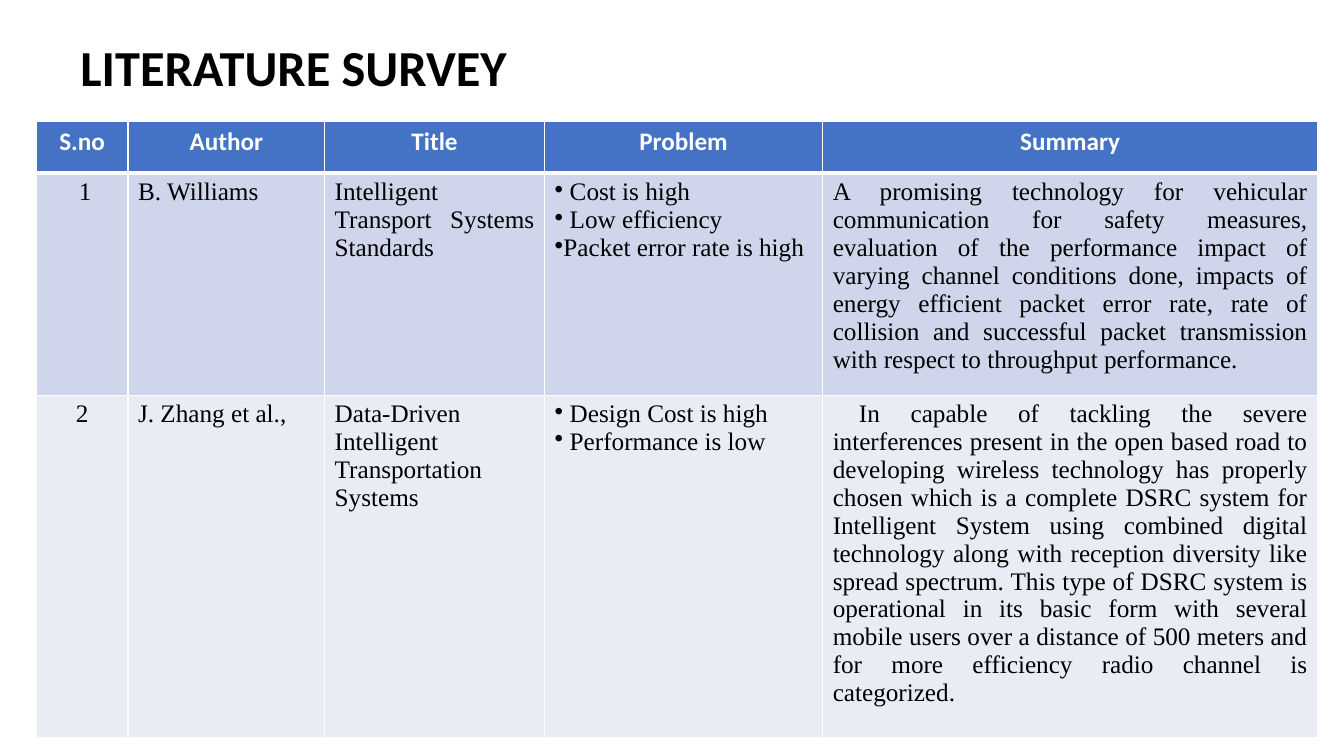
"""Build a literature survey slide with a table of two papers."""
from dataclasses import dataclass
from lxml.etree import SubElement as Sub
from pptx import Presentation
from pptx.dml.color import RGBColor as Rgb
from pptx.enum.text import MSO_ANCHOR as Anchor, PP_ALIGN as Align
from pptx.oxml import parse_xml
from pptx.oxml.ns import nsdecls, qn
from pptx.util import Inches, Pt

TITLE = "LITERATURE SURVEY"
HEADS = ["S.no", "Author", "Title", "Problem", "Summary"]
PAPERS = [
    [" 1", "B. Williams", "Intelligent Transport Systems Standards",
     [" Cost is high", " Low efficiency", "Packet error rate is high"],
     "A promising technology for vehicular communication for safety "
     "measures, evaluation of the performance impact of varying channel "
     "conditions done, impacts of energy efficient packet error rate, rate "
     "of collision and successful packet transmission with respect to "
     "throughput performance."],
    ["2", "J. Zhang et al.,",
     "Data-Driven Intelligent Transportation Systems",
     [" Design Cost is high", " Performance is low"],
     "In capable of tackling the severe interferences present in the open "
     "based road to developing wireless technology has properly chosen which "
     "is a complete DSRC system for Intelligent System using combined digital "
     "technology along with reception diversity like spread spectrum. This "
     "type of DSRC system is operational in its basic form with several "
     "mobile users over a distance of 500 meters and for more efficiency "
     "radio channel is categorized."],
]
COLS = [0.91, 1.95, 2.18, 2.76, 4.91]
ROWS = [0.52, 2.08, 3.05]


@dataclass(frozen=True)
class Theme:
    head: str = "Calibri"
    body: str = "Times New Roman"
    big: int = 36
    small: int = 18
    black: str = "000000"
    white: str = "FFFFFF"
    fills: tuple = ("4472C4", "CFD5EA", "E9EBF5")


LOOK = Theme()


def write(para, text, font, size, color, bold):
    run = para.add_run()
    run.text = text
    run.font.name, run.font.size, run.font.bold = font, Pt(size), bold
    run.font.color.rgb = Rgb.from_string(color)


def edge(cell, low):
    props = cell._tc.get_or_add_tcPr()
    for spot, side in enumerate("LRTB"):
        wide = Pt(low if side == "B" else 1)
        props.insert(spot, parse_xml(
            f'<a:ln{side} {nsdecls("a")} w="{wide}"><a:solidFill>'
            f'<a:srgbClr val="{LOOK.white}"/></a:solidFill></a:ln{side}>'))


def fill_cell(cell, item, row, col):
    top = row == 0
    cell.fill.solid()
    cell.fill.fore_color.rgb = Rgb.from_string(LOOK.fills[row])
    edge(cell, 3 if top else 1)
    marked = isinstance(item, list)
    frame = cell.text_frame
    for spot, text in enumerate(item if marked else [item]):
        para = frame.add_paragraph() if spot else frame.paragraphs[0]
        para.alignment = Align.CENTER if top or col == 0 else Align.JUSTIFY
        if marked:
            Sub(para._p.get_or_add_pPr(), qn("a:buChar"), char="•")
        if (row, col) == (2, 4):
            para._p.get_or_add_pPr().set("indent", str(Inches(0.26)))
        write(para, text, LOOK.head if top else LOOK.body, LOOK.small,
              LOOK.white if top else LOOK.black, top)


deck = Presentation()
deck.slide_width, deck.slide_height = Inches(13.33), Inches(7.5)
slide = deck.slides.add_slide(deck.slide_layouts[6])

box = slide.shapes.add_textbox(Inches(0.7), Inches(0.17), Inches(11.5), Inches(1.05))
frame = box.text_frame
frame.word_wrap, frame.vertical_anchor = True, Anchor.MIDDLE
frame.paragraphs[0].line_spacing = 0.9
write(frame.paragraphs[0], TITLE, LOOK.head, LOOK.big, LOOK.black, True)

grid = slide.shapes.add_table(
    len(ROWS), len(COLS), Inches(0.36), Inches(1.2),
    Inches(sum(COLS)), Inches(sum(ROWS))).table
for col, wide in zip(grid.columns, COLS):
    col.width = Inches(wide)
for row, high in zip(grid.rows, ROWS):
    row.height = Inches(high)
for row, items in enumerate([HEADS, *PAPERS]):
    for col, item in enumerate(items):
        fill_cell(grid.cell(row, col), item, row, col)

deck.save("out.pptx")
